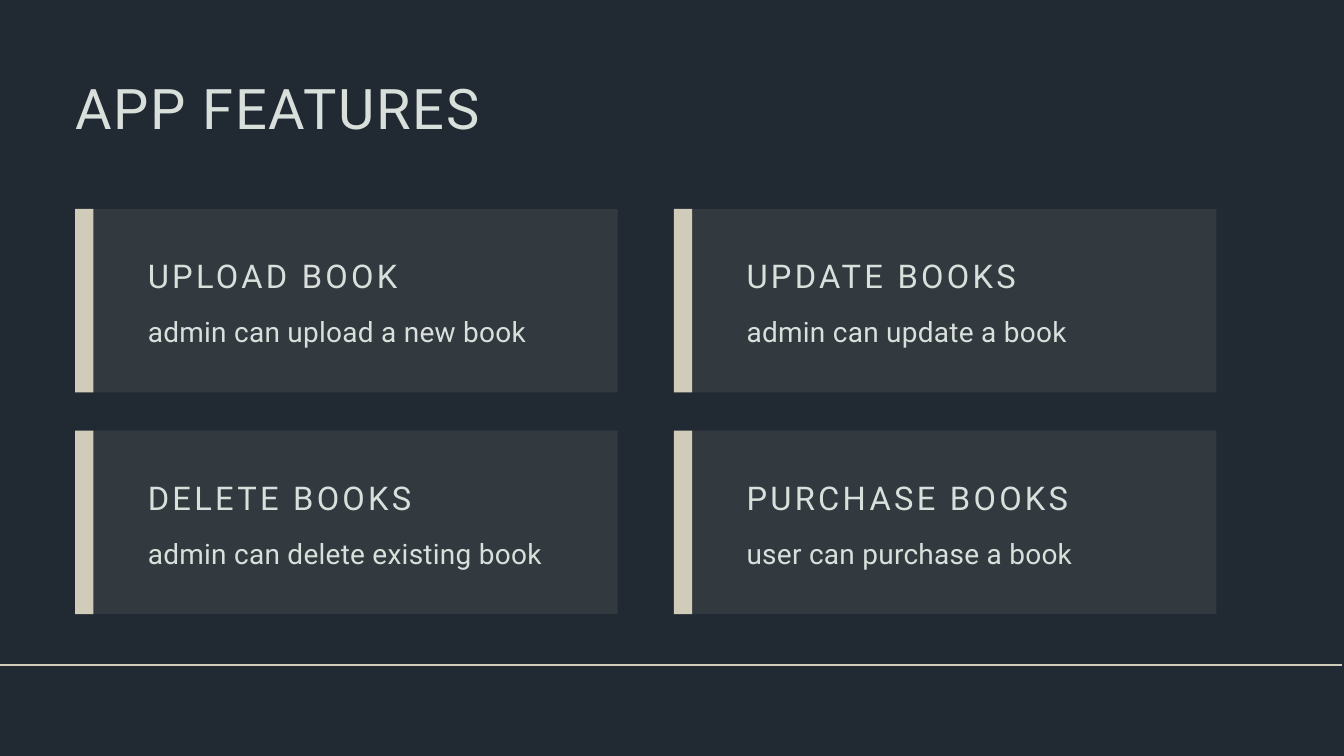
"""Build the App Features slide: four cards in a two by two grid."""
from lxml import etree
from pptx import Presentation
from pptx.dml.color import RGBColor
from pptx.enum.shapes import MSO_CONNECTOR, MSO_SHAPE
from pptx.enum.text import MSO_AUTO_SIZE
from pptx.oxml.ns import qn
from pptx.util import Inches, Pt

STRAIGHT = MSO_CONNECTOR.STRAIGHT
RECTANGLE = MSO_SHAPE.RECTANGLE
FIT_SHAPE = MSO_AUTO_SIZE.SHAPE_TO_FIT_TEXT
NAVY = RGBColor(0x21, 0x29, 0x32)
SAND = RGBColor(0xD0, 0xCC, 0xB9)
PALE = RGBColor(0xD9, 0xDF, 0xDB)

LEFT, TOP = 1.12, 3.11
COL_STEP, ROW_STEP = 8.91, 3.3
CARD_W, CARD_H, BAR_W = 8.07, 2.73, 0.27
TEXT_INDENT, TEXT_W = 1.08, 6.23

CARDS = [
    ("UPLOAD BOOK", "admin can upload a new book"),
    ("UPDATE BOOKS", "admin can update a book"),
    ("DELETE BOOKS", "admin can delete existing book"),
    ("PURCHASE BOOKS", "user can purchase a book"),
]


def add_text(s, text, x, y, w, h, size, leading, tracking):
    tf = s.shapes.add_textbox(Inches(x), Inches(y), Inches(w), Inches(h)).text_frame
    tf.margin_left = tf.margin_top = tf.margin_right = tf.margin_bottom = 0
    tf.word_wrap = True
    tf.auto_size = FIT_SHAPE
    p = tf.paragraphs[0]
    p.text = text
    p.line_spacing = Pt(leading)
    r = p.runs[0]
    r.font.name = "Roboto"
    r.font.size = Pt(size)
    r.font.color.rgb = PALE
    r._r.get_or_add_rPr().set("spc", str(round(tracking * 100)))


def add_block(s, x, y, w, h):
    sp = s.shapes.add_shape(RECTANGLE, Inches(x), Inches(y), Inches(w), Inches(h))
    sp.shadow.inherit = False
    sp.fill.solid()
    sp.fill.fore_color.rgb = SAND
    sp.line.fill.background()
    return sp


prs = Presentation()
prs.slide_width = Inches(20)
prs.slide_height = Inches(11.25)
s = prs.slides.add_slide(prs.slide_layouts[6])
s.background.fill.solid()
s.background.fill.fore_color.rgb = NAVY

rule = s.shapes.add_connector(STRAIGHT, Inches(-0.03), Inches(9.89), Inches(19.97), Inches(9.89))
rule.line.color.rgb = SAND
rule.line.width = Pt(2.25)
etree.SubElement(rule._element.spPr, qn("a:effectLst"))

add_text(s, "APP FEATURES", LEFT, 1.1, 12.94, 1.02, 60, 72, 1.8)

for i, (heading, detail) in enumerate(CARDS):
    row, col = divmod(i, 2)
    x = LEFT + col * COL_STEP
    y = TOP + row * ROW_STEP
    card = add_block(s, x, y, CARD_W, CARD_H)
    color = card._element.spPr.find(qn("a:solidFill"))[0]
    etree.SubElement(color, qn("a:alpha"), val="10000")
    add_block(s, x, y, BAR_W, CARD_H)
    add_text(s, heading, x + TEXT_INDENT, y + 0.7, TEXT_W, 0.6, 35, 42, 3.5)
    add_text(s, detail, x + TEXT_INDENT, y + 1.45, TEXT_W, 0.57, 30, 45, 0.3)

prs.save("out.pptx")
